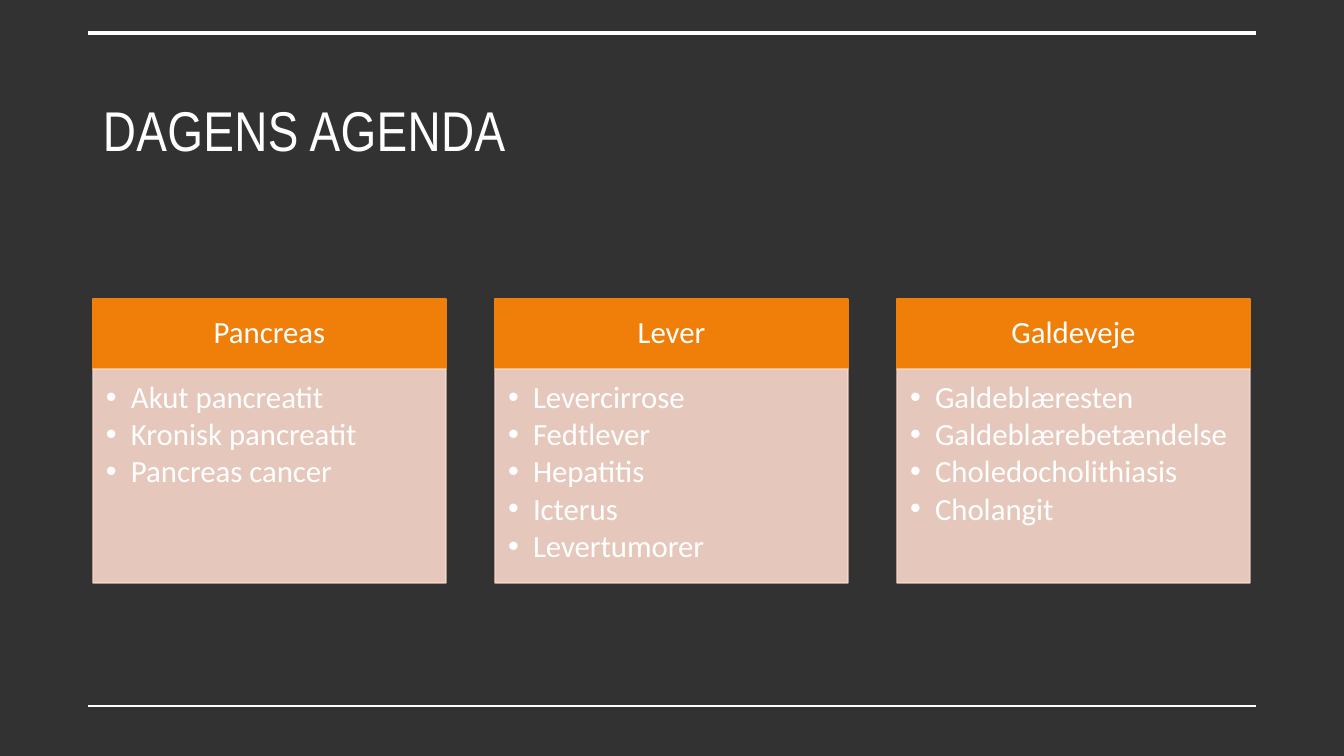
"""Build the agenda slide with three topic cards."""

from dataclasses import dataclass

from lxml.etree import SubElement
from pptx import Presentation
from pptx.dml.color import RGBColor
from pptx.enum.shapes import MSO_CONNECTOR, MSO_SHAPE
from pptx.enum.text import MSO_ANCHOR, MSO_AUTO_SIZE, PP_ALIGN
from pptx.oxml.ns import qn
from pptx.shapes.autoshape import Shape
from pptx.slide import Slide
from pptx.text.text import TextFrame, _Paragraph
from pptx.util import Emu, Pt

EMU_PER_PX = 914400 / 100.8


@dataclass(frozen=True)
class Theme:
    background: RGBColor = RGBColor(0x32, 0x32, 0x32)
    text: RGBColor = RGBColor(0xFF, 0xFF, 0xFF)
    header: RGBColor = RGBColor(0xF0, 0x7F, 0x09)
    body: RGBColor = RGBColor(0xF9, 0xD8, 0xCC)
    body_opacity: int = 90
    title_font: str = "Arial Narrow"
    body_font: str = "Calibri"
    title_size: int = 40
    body_size: int = 22


@dataclass(frozen=True)
class Box:
    left: int
    top: int
    width: int
    height: int


@dataclass(frozen=True)
class Insets:
    left: int
    top: int
    right: int
    bottom: int


@dataclass(frozen=True)
class Rule:
    y: int
    weight: float


@dataclass(frozen=True)
class Card:
    heading: str
    topics: tuple[str, ...]


THEME = Theme()
SLIDE_WIDTH, SLIDE_HEIGHT = 1344, 756
RULE_LEFT, RULE_RIGHT = 88, 1256
RULES = (Rule(33, 3.5), Rule(706, 1))
TITLE_BOX = Box(93, 90, 1159, 146)
CARD_LEFT, CARD_TOP, CARD_WIDTH, CARD_PITCH = 93, 299, 353, 402
HEADER_HEIGHT, BODY_HEIGHT = 70, 214
TITLE_INSETS = Insets(10, 5, 10, 5)
HEADER_INSETS = Insets(17, 10, 17, 10)
BODY_INSETS = Insets(13, 13, 17, 19)
BULLET_INDENT = 25
CARDS = (
    Card("Pancreas", ("Akut pancreatit", "Kronisk pancreatit", "Pancreas cancer")),
    Card("Lever", ("Levercirrose", "Fedtlever", "Hepatitis", "Icterus", "Levertumorer")),
    Card(
        "Galdeveje",
        ("Galdeblæresten", "Galdeblærebetændelse", "Choledocholithiasis", "Cholangit"),
    ),
)


def px(length: int) -> Emu:
    return Emu(round(length * EMU_PER_PX))


def set_frame(frame: TextFrame, insets: Insets, anchor: MSO_ANCHOR) -> None:
    frame.word_wrap = True
    frame.auto_size = MSO_AUTO_SIZE.NONE
    frame.vertical_anchor = anchor
    frame.margin_left, frame.margin_top = px(insets.left), px(insets.top)
    frame.margin_right, frame.margin_bottom = px(insets.right), px(insets.bottom)


def add_text(paragraph: _Paragraph, text: str, font_name: str, size: int) -> None:
    run = paragraph.add_run()
    run.text = text
    run.font.name = font_name
    run.font.size = Pt(size)
    run.font.color.rgb = THEME.text


def add_bullet(paragraph: _Paragraph) -> None:
    properties = paragraph._p.get_or_add_pPr()
    properties.set("marL", str(px(BULLET_INDENT)))
    properties.set("indent", str(-px(BULLET_INDENT)))
    SubElement(properties, qn("a:buFont")).set("typeface", "Arial")
    SubElement(properties, qn("a:buChar")).set("char", "•")


def set_opacity(shape: Shape, percent: int) -> None:
    for color in shape._element.spPr.iter(qn("a:srgbClr")):
        SubElement(color, qn("a:alpha")).set("val", str(percent * 1000))


def add_panel(slide: Slide, box: Box, color: RGBColor) -> Shape:
    shape = slide.shapes.add_shape(
        MSO_SHAPE.RECTANGLE, px(box.left), px(box.top), px(box.width), px(box.height)
    )
    shape.shadow.inherit = False
    shape.fill.solid()
    shape.fill.fore_color.rgb = color
    shape.line.color.rgb = color
    shape.line.width = Pt(1)
    return shape


def add_rule(slide: Slide, rule: Rule) -> None:
    connector = slide.shapes.add_connector(
        MSO_CONNECTOR.STRAIGHT, px(RULE_LEFT), px(rule.y), px(RULE_RIGHT), px(rule.y)
    )
    connector.line.color.rgb = THEME.text
    connector.line.width = Pt(rule.weight)
    SubElement(connector._element.spPr, qn("a:effectLst"))


def set_title(slide: Slide, text: str) -> None:
    title = slide.shapes.title
    title.left, title.top = px(TITLE_BOX.left), px(TITLE_BOX.top)
    title.width, title.height = px(TITLE_BOX.width), px(TITLE_BOX.height)
    set_frame(title.text_frame, TITLE_INSETS, MSO_ANCHOR.TOP)
    paragraph = title.text_frame.paragraphs[0]
    paragraph.alignment = PP_ALIGN.LEFT
    add_text(paragraph, text, THEME.title_font, THEME.title_size)
    paragraph.runs[0].font._element.set("spc", "30")


def add_card(slide: Slide, card: Card, left: int) -> None:
    header_box = Box(left, CARD_TOP, CARD_WIDTH, HEADER_HEIGHT)
    header = add_panel(slide, header_box, THEME.header)
    set_frame(header.text_frame, HEADER_INSETS, MSO_ANCHOR.MIDDLE)
    heading = header.text_frame.paragraphs[0]
    heading.alignment = PP_ALIGN.CENTER
    heading.line_spacing = 0.9
    add_text(heading, card.heading, THEME.body_font, THEME.body_size)

    body_box = Box(left, CARD_TOP + HEADER_HEIGHT, CARD_WIDTH, BODY_HEIGHT)
    body = add_panel(slide, body_box, THEME.body)
    set_opacity(body, THEME.body_opacity)
    frame = body.text_frame
    set_frame(frame, BODY_INSETS, MSO_ANCHOR.TOP)
    for index, topic in enumerate(card.topics):
        paragraph = frame.add_paragraph() if index else frame.paragraphs[0]
        add_bullet(paragraph)
        paragraph.alignment = PP_ALIGN.LEFT
        paragraph.line_spacing = 0.9
        paragraph.space_after = Pt(2.8)
        add_text(paragraph, topic, THEME.body_font, THEME.body_size)


def main() -> None:
    presentation = Presentation()
    presentation.slide_width, presentation.slide_height = px(SLIDE_WIDTH), px(SLIDE_HEIGHT)
    slide = presentation.slides.add_slide(presentation.slide_layouts[5])
    slide.background.fill.solid()
    slide.background.fill.fore_color.rgb = THEME.background
    for rule in RULES:
        add_rule(slide, rule)
    set_title(slide, "DAGENS AGENDA")
    for index, card in enumerate(CARDS):
        add_card(slide, card, CARD_LEFT + index * CARD_PITCH)
    presentation.save("out.pptx")


if __name__ == "__main__":
    main()
